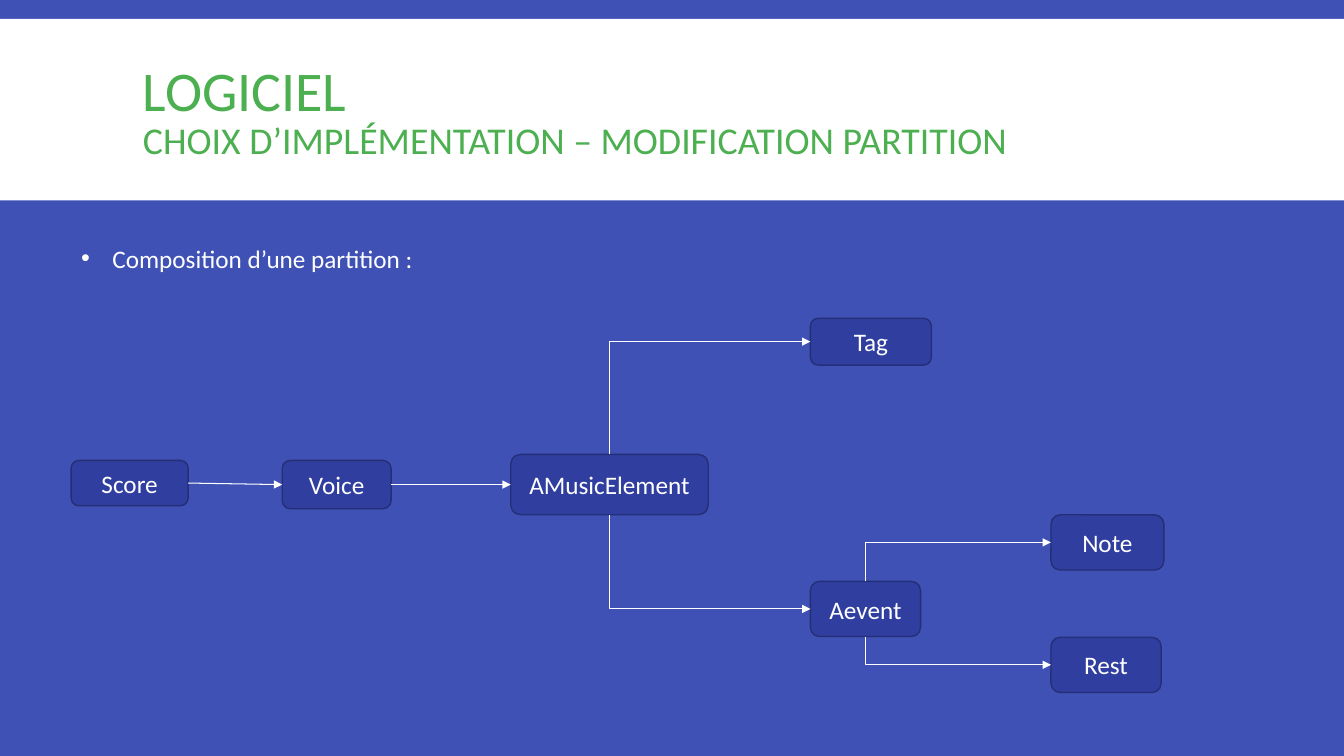
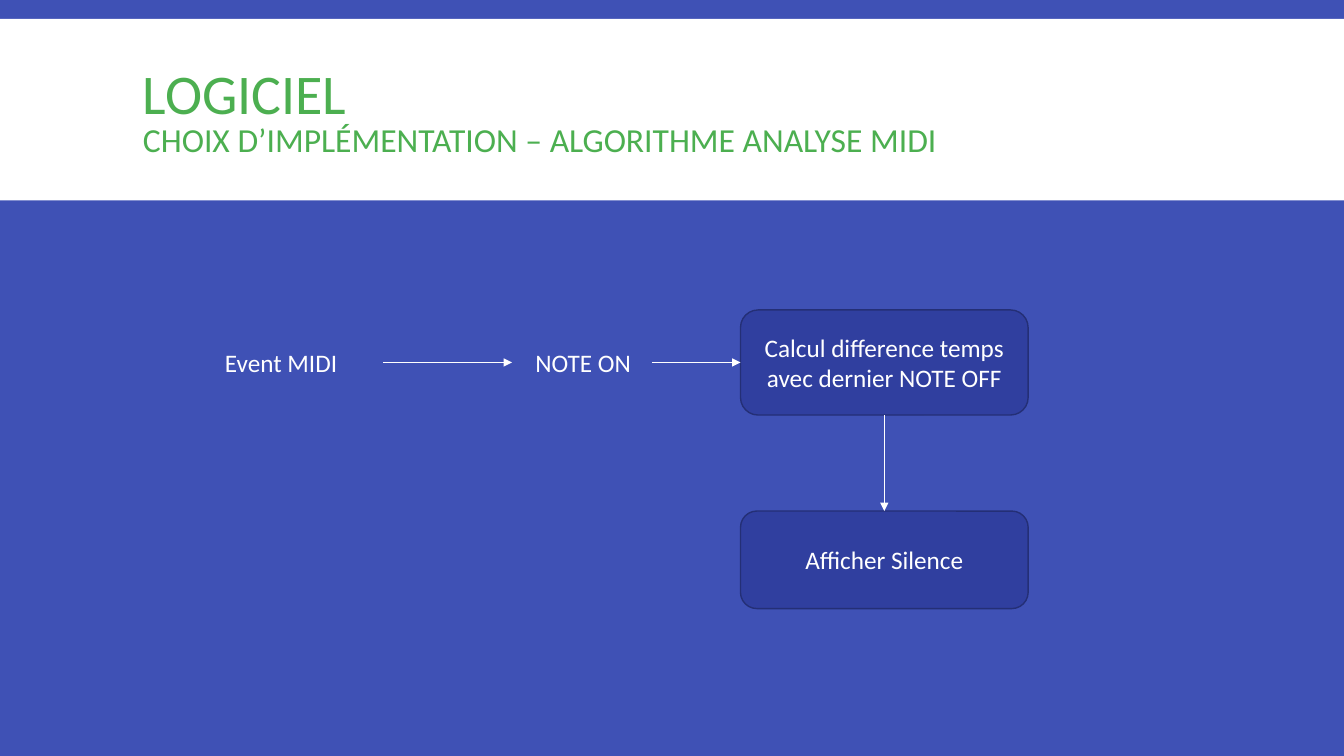
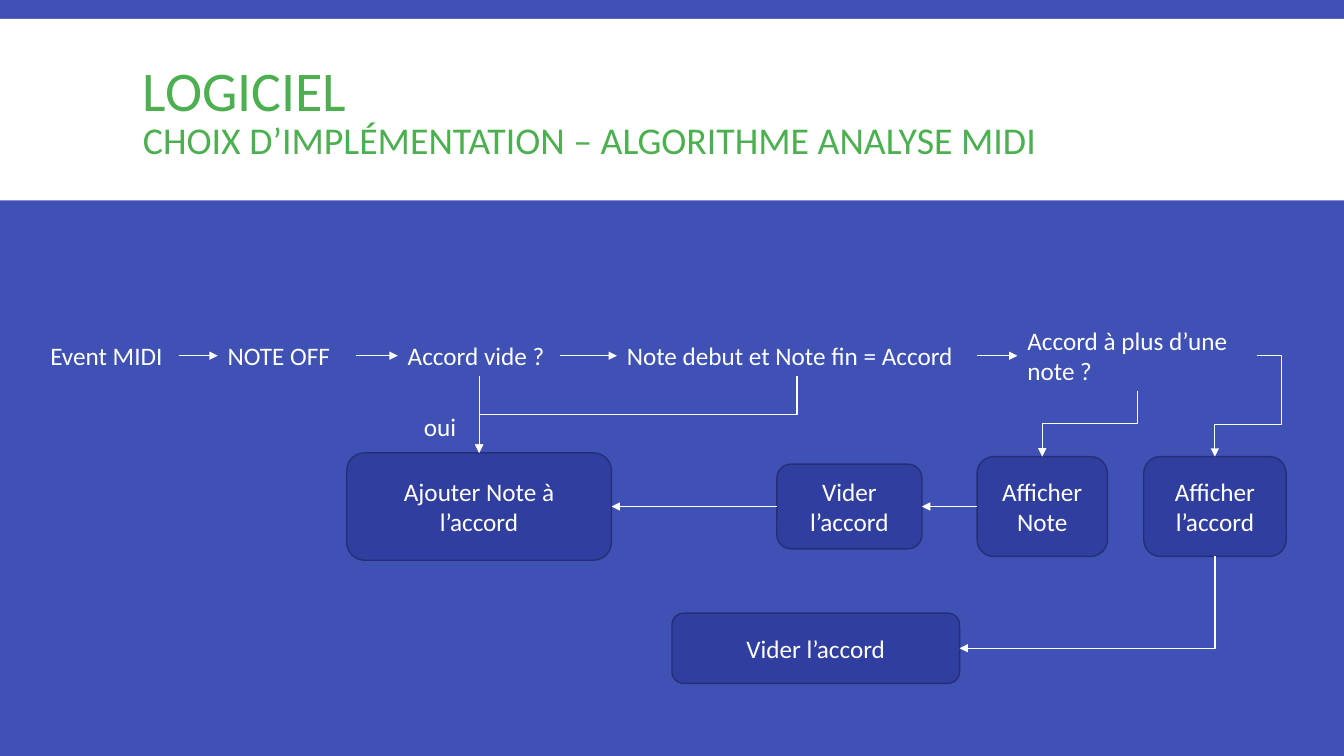
from lxml import etree
from pptx import Presentation
from pptx import util as u
from pptx.dml.color import RGBColor
from pptx.enum import shapes, text
from pptx.oxml.ns import qn

BLUE = RGBColor(0x3F, 0x51, 0xB5)
DARK = RGBColor(0x30, 0x3F, 0x9F)
EDGE = RGBColor(0x24, 0x2F, 0x76)
GREEN = RGBColor(0x4C, 0xAF, 0x50)
WHITE = RGBColor(0xFF, 0xFF, 0xFF)
FONT = "Calibri"
TOP, LEFT, BOTTOM, RIGHT = range(4)

prs = Presentation()
prs.slide_width, prs.slide_height = u.Inches(13.33), u.Inches(7.5)
COL, ROW = prs.slide_width / 100, prs.slide_height / 100  # 100 x 100 grid
fill = prs.slide_master.background.fill
fill.solid()
fill.fore_color.rgb = BLUE


def put(slide, words, area, boxed):
    """Add a label, or a rounded box, on the grid."""
    x, y, w, h = area
    place = int(x * COL), int(y * ROW), int(w * COL), int(h * ROW)
    if boxed:
        shape = slide.shapes.add_shape(shapes.MSO_SHAPE.ROUNDED_RECTANGLE, *place)
        shape.shadow.inherit = False
        shape.fill.solid()
        shape.fill.fore_color.rgb = DARK
        shape.line.color.rgb = EDGE
        shape.line.width = u.Pt(1)
    else:
        shape = slide.shapes.add_textbox(*place)
    frame = shape.text_frame
    frame.word_wrap = True
    frame.text = words
    para = frame.paragraphs[0]
    if boxed:
        frame.vertical_anchor = text.MSO_ANCHOR.MIDDLE
        para.alignment = text.PP_ALIGN.CENTER
    for run in para.runs:
        run.font.name, run.font.size = FONT, u.Pt(18)
        run.font.color.rgb = WHITE
    return shape


def link(slide, start, end, bend=None, adjust=()):
    """Add an arrow; an end is (shape, side) or a grid point."""
    kind = shapes.MSO_CONNECTOR.ELBOW if bend else shapes.MSO_CONNECTOR.STRAIGHT
    line = slide.shapes.add_connector(kind, 0, 0, 0, 0)
    if isinstance(start[0], (int, float)):
        line.begin_x, line.begin_y = int(start[0] * COL), int(start[1] * ROW)
    else:
        line.begin_connect(*start)
    if isinstance(end[0], (int, float)):
        line.end_x, line.end_y = int(end[0] * COL), int(end[1] * ROW)
    else:
        line.end_connect(*end)
    line.line.color.rgb = WHITE
    line.line.width = u.Pt(0.75)
    prop = line._element.spPr
    etree.SubElement(prop.find(qn("a:ln")), qn("a:tailEnd"), type="triangle")
    etree.SubElement(prop, qn("a:effectLst"))
    if bend:
        geom = prop.find(qn("a:prstGeom"))
        geom.set("prst", f"bentConnector{bend}")
        for num, share in enumerate(adjust, 1):
            etree.SubElement(geom.find(qn("a:avLst")), qn("a:gd"),
                             name=f"adj{num}", fmla=f"val {int(share * 100000)}")
    if bend in (2, 3):
        # The preset starts sideways: a quarter turn makes it start up or down
        x1, y1, x2, y2 = line.begin_x, line.begin_y, line.end_x, line.end_y
        w, h = abs(y2 - y1), abs(x2 - x1)
        line.left, line.top = (x1 + x2 - w) // 2, (y1 + y2 - h) // 2
        line.width, line.height = w, h
        form = prop.find(qn("a:xfrm"))
        form.set("rot", "5400000")
        form.set("flipH", str(int(y2 < y1)))
        form.set("flipV", str(int(x2 > x1)))


# Shared band and title
pages = []
for topic, size in (("MODIFICATION PARTITION", 27),
                    ("ALGORITHME ANALYSE MIDI", 24),
                    ("ALGORITHME ANALYSE MIDI", 27)):
    page = prs.slides.add_slide(prs.slide_layouts[6])
    band = page.shapes.add_shape(shapes.MSO_SHAPE.RECTANGLE, 0, int(2.5 * ROW),
                                 prs.slide_width, int(24 * ROW))
    band.shadow.inherit = False
    band.fill.solid()
    band.fill.fore_color.rgb = WHITE
    band.line.fill.background()
    head = put(page, f"LOGICIEL\vCHOIX D’IMPLÉMENTATION – {topic}",
               (9.9, 4.1, 80.3, 22), False)
    head.text_frame.vertical_anchor = text.MSO_ANCHOR.MIDDLE
    para = head.text_frame.paragraphs[0]
    para.line_spacing = 0.85
    for run, points in zip(para.runs, (40, size)):
        run.font.size = u.Pt(points)
        run.font.color.rgb = GREEN
    pages.append(page)
score, rest, chord = pages

# Slide 1: parts of a score
part = {}
for name, *area in (("Score", 5.3, 60.9, 8.7, 6),
                    ("Voice", 21, 60.9, 8.1, 6.4),
                    ("AMusicElement", 38, 60.1, 14.7, 8),
                    ("Aevent", 60.3, 76.9, 8.2, 7.3),
                    ("Note", 78.2, 68.1, 8.4, 7.3),
                    ("Rest", 78.2, 84.3, 8.2, 7.3),
                    ("Tag", 60.3, 42.1, 9, 6.2)):
    part[name] = put(score, name, area, True)
for start, side, end, bend in (("Score", RIGHT, "Voice", None),
                               ("Voice", RIGHT, "AMusicElement", None),
                               ("AMusicElement", TOP, "Tag", 2),
                               ("AMusicElement", BOTTOM, "Aevent", 2),
                               ("Aevent", TOP, "Note", 2),
                               ("Aevent", BOTTOM, "Rest", 2)):
    link(score, (part[start], side), (part[end], LEFT), bend)
intro = put(score, "Composition d’une partition :", (5.3, 31.5, 27.5, 5.3), False)
prop = intro.text_frame.paragraphs[0]._p.get_or_add_pPr()
prop.set("marL", str(u.Inches(0.31)))
prop.set("indent", str(-u.Inches(0.31)))
etree.SubElement(prop, qn("a:buFont"), typeface="Arial")
etree.SubElement(prop, qn("a:buChar"), char="•")

# Slide 2: NOTE ON
event = put(rest, "Event MIDI", (16, 45.3, 12.5, 5.3), False)
note = put(rest, "NOTE ON", (39.1, 45.3, 9.4, 5.3), False)
gap = put(rest, "Calcul difference temps avec dernier NOTE OFF",
          (55.1, 41, 21.4, 13.9), True)
show = put(rest, "Afficher Silence", (55.1, 67.6, 21.4, 12.9), True)
link(rest, (event, RIGHT), (38.1, 47.95))
link(rest, (note, RIGHT), (gap, LEFT))
link(rest, (gap, BOTTOM), (show, TOP))

# Slide 3: NOTE OFF, tests in a row
steps = [put(chord, words, area, False) for words, *area in (
    ("Event MIDI", 3, 44.4, 10.3, 5.3),
    ("NOTE OFF", 16.2, 44.4, 10.3, 5.3),
    ("Accord vide ?", 29.6, 44.4, 12.1, 5.3),
    ("Note debut et Note fin = Accord", 45.9, 44.4, 26.8, 5.3),
    ("Accord à plus d’une note ?", 75.7, 42.35, 17.8, 9.4))]
for start, end in zip(steps, steps[1:]):
    link(chord, (start, RIGHT), (end, LEFT))
empty, same, many = steps[2:]

# Slide 3: actions
add, clear, one, full, last = [put(chord, words, area, True) for words, *area in (
    ("Ajouter Note à l’accord", 25.8, 59.9, 19.7, 14.2),
    ("Vider l’accord", 57.8, 61.4, 10.8, 11.2),
    ("Afficher Note", 72.7, 60.4, 9.7, 13.2),
    ("Afficher l’accord", 85.1, 60.4, 10.6, 13.2),
    ("Vider l’accord", 50, 81.1, 21.4, 9.3))]
put(chord, "oui", (30.8, 53.7, 5.2, 5.3), False)
link(chord, (empty, BOTTOM), (add, TOP))
link(chord, (one, LEFT), (clear, RIGHT))
link(chord, (clear, LEFT), (add, RIGHT))
link(chord, (same, BOTTOM), (add, TOP), 3, (0.5,))
link(chord, (many, BOTTOM), (one, TOP), 3, (0.5,))
link(chord, (many, RIGHT), (full, TOP), 4, (-0.6, 0.68))
link(chord, (full, BOTTOM), (last, RIGHT), 2)

prs.save("out.pptx")
